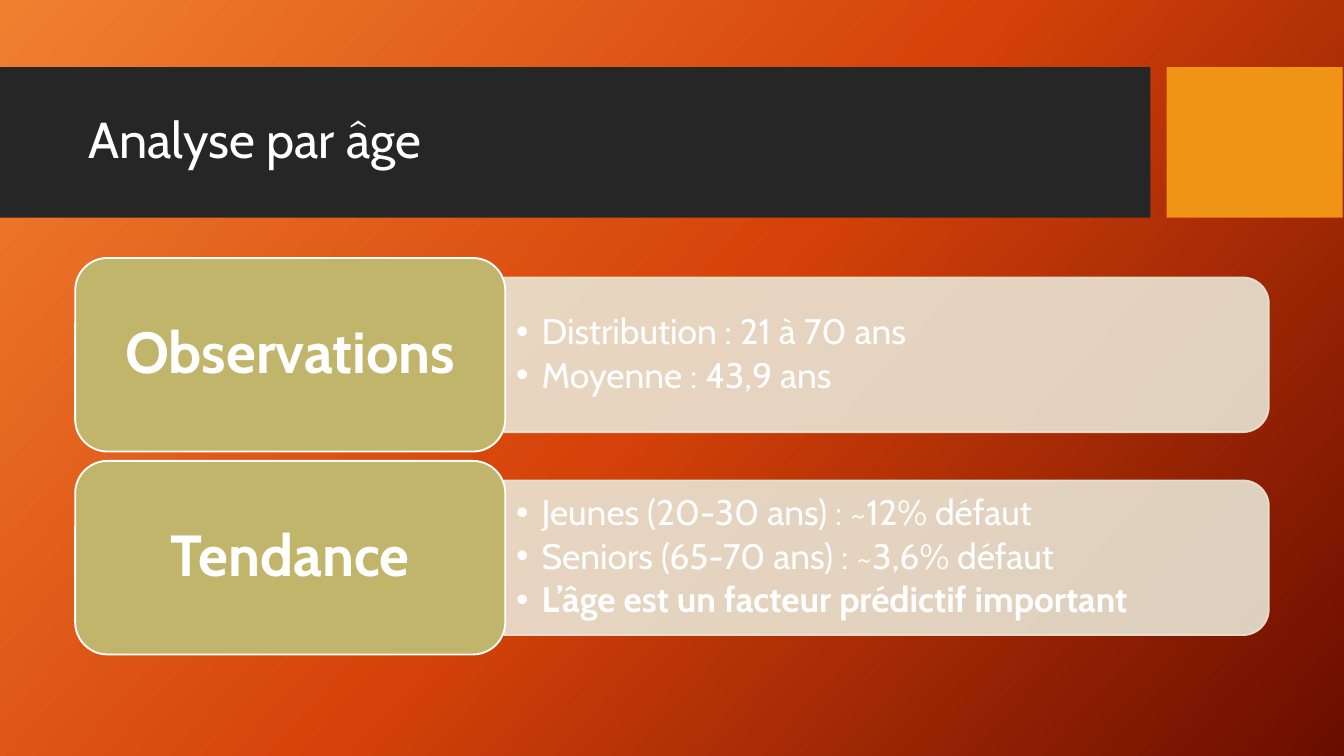
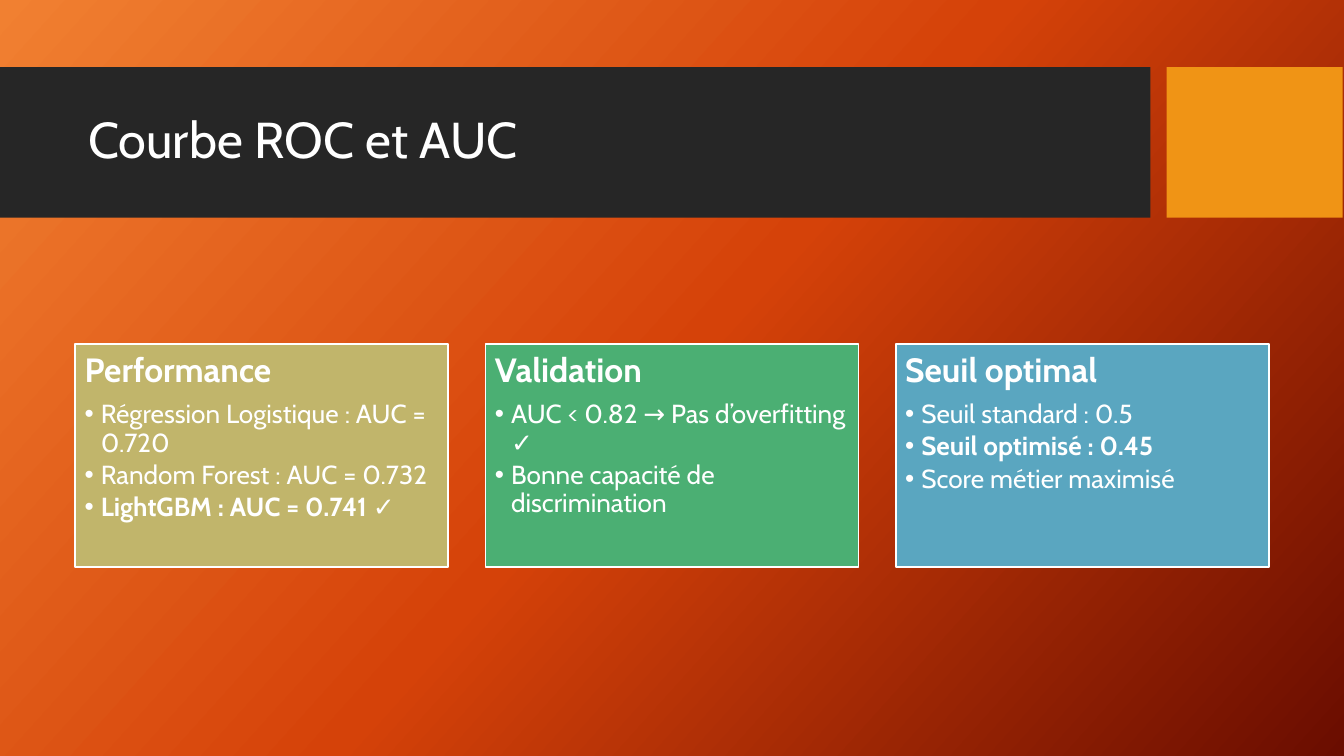
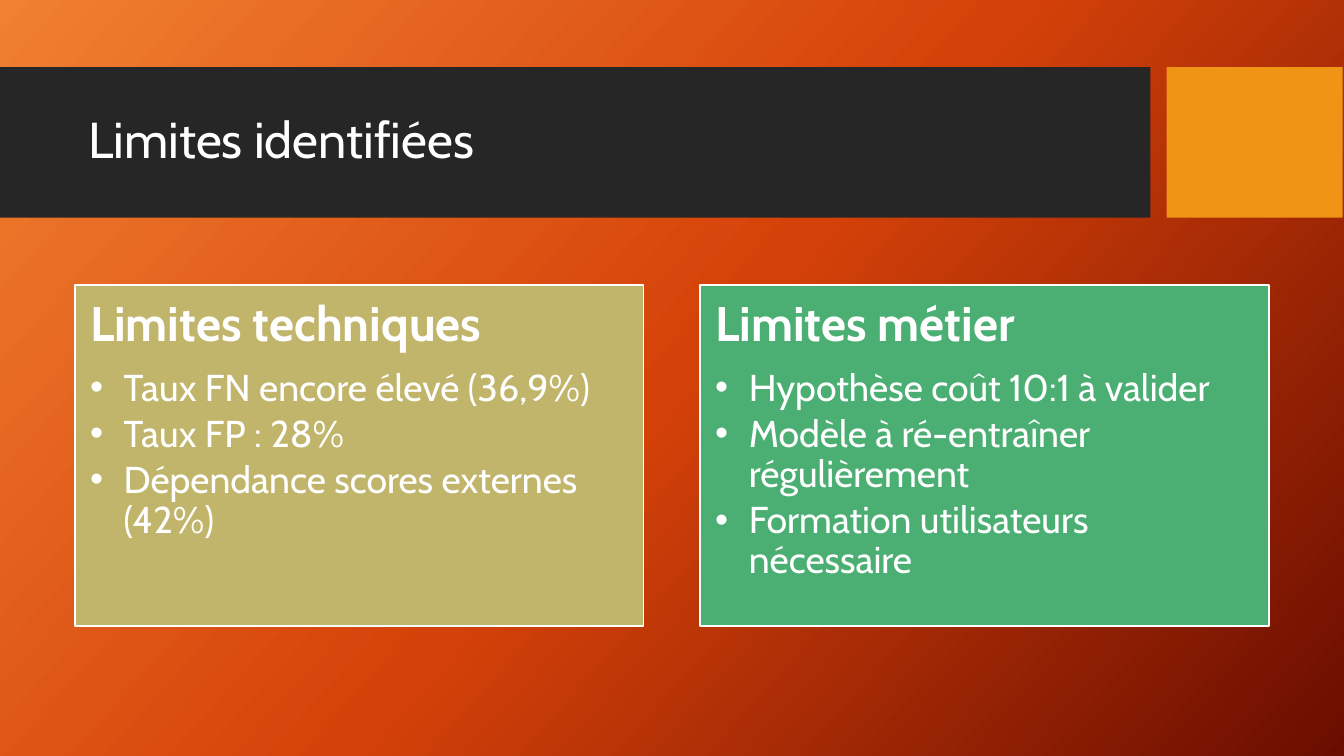
import copy
from dataclasses import dataclass

import pptx
import pptx.dml.color
import pptx.enum.shapes
import pptx.enum.text
import pptx.oxml.ns
import pptx.util
from lxml import etree

Inches = pptx.util.Inches
Pt = pptx.util.Pt
MSO_SHAPE = pptx.enum.shapes.MSO_SHAPE
MSO_ANCHOR = pptx.enum.text.MSO_ANCHOR
PP_ALIGN = pptx.enum.text.PP_ALIGN
qn = pptx.oxml.ns.qn


@dataclass(frozen=True)
class Theme:
    font: str = "Cabin"
    text: str = "FFFFFF"
    band: str = "262626"
    accent: str = "F09415"
    panel: str = "E9E5D4"
    cards: tuple = ("C1B56B", "4BAF73", "5AA6C0")
    gradient: tuple = ((0, "F18031"), (0.5, "D54209"), (1, "6A0D00"))
    gradient_angle: int = 42
    title_size: int = 27
    label_size: int = 31
    panel_size: int = 19


@dataclass(frozen=True)
class Bullet:
    """A list item: an optional bold part, then a plain part."""
    plain: str = ""
    strong: str = ""


@dataclass(frozen=True)
class CardStyle:
    heading_size: int
    bullet_size: int
    inset: float
    indent: float


THEME = Theme()
BODY_LEFT, BODY_WIDTH = 0.56, 8.88
CARD_CENTRE = 3.39


def rgb(code):
    return pptx.dml.color.RGBColor.from_string(code)


def paint_background(page):
    fill = page.background.fill
    fill.gradient()
    fill.gradient_angle = 360 - THEME.gradient_angle
    stop_list = next(page.element.iter(qn("a:gsLst")))
    stop_list.insert(1, copy.deepcopy(stop_list[0]))
    for stop, (position, code) in zip(fill.gradient_stops, THEME.gradient):
        stop.position = position
        stop.color.rgb = rgb(code)


def add_block(page, kind, left, top, width, height, color, line=None):
    block = page.shapes.add_shape(
        kind, Inches(left), Inches(top), Inches(width), Inches(height))
    block.shadow.inherit = False
    block.fill.solid()
    block.fill.fore_color.rgb = rgb(color)
    if line:
        block.line.color.rgb = rgb(line)
        block.line.width = Pt(1)
    else:
        block.line.fill.background()
    return block


def add_text_box(page, left, top, width, height):
    return page.shapes.add_textbox(
        Inches(left), Inches(top), Inches(width), Inches(height))


def prepare_frame(box, anchor, inset_x=0.1, inset_y=0.05):
    frame = box.text_frame
    frame.word_wrap = True
    frame.vertical_anchor = anchor
    frame.margin_left = frame.margin_right = Inches(inset_x)
    frame.margin_top = frame.margin_bottom = Inches(inset_y)
    return frame


def style_paragraph(para, size, align=PP_ALIGN.LEFT, after=0, indent=0):
    """Set type and spacing; after is in percent, an indent adds a bullet."""
    para.alignment = align
    para.line_spacing = 0.9
    properties = para._p.get_or_add_pPr()
    if after:
        spacing = etree.SubElement(properties, qn("a:spcAft"))
        etree.SubElement(spacing, qn("a:spcPct"), val=str(after * 1000))
    if indent:
        para.level = 1
        properties.set("marL", str(Inches(indent)))
        properties.set("indent", str(-Inches(indent)))
        etree.SubElement(properties, qn("a:buFont"), typeface="Arial")
        etree.SubElement(properties, qn("a:buChar"), char="•")
    para.font.name = THEME.font
    para.font.size = Pt(size)
    para.font.color.rgb = rgb(THEME.text)


def write_heading(para, text, size, align=PP_ALIGN.LEFT):
    para.text = text
    style_paragraph(para, size, align, after=35)
    para.font.bold = True


def write_bullet(para, bullet, size, indent):
    style_paragraph(para, size, after=15, indent=indent)
    for text, bold in ((bullet.strong, True), (bullet.plain, False)):
        if text:
            span = para.add_run()
            span.text = text
            span.font.bold = bold


def add_page(deck, title):
    """Add a page with the gradient, the title band and its title."""
    page = deck.slides.add_slide(deck.slide_layouts[6])
    paint_background(page)
    add_block(page, MSO_SHAPE.RECTANGLE, 0, 0.5, 8.56, 1.12, THEME.band)
    add_block(page, MSO_SHAPE.RECTANGLE, 8.68, 0.5, 1.31, 1.12, THEME.accent)
    box = add_text_box(page, BODY_LEFT, 0.62, 7.89, 0.88)
    para = prepare_frame(box, MSO_ANCHOR.MIDDLE).paragraphs[0]
    para.text = title
    style_paragraph(para, THEME.title_size)
    return page


def add_labelled_row(page, top, label, bullets):
    """Add a rounded label with a translucent panel of bullets on its right."""
    label_width, label_height = 3.2, 1.44
    panel_width, panel_height = 5.69, 1.15
    panel_left = BODY_LEFT + label_width
    panel_right = BODY_LEFT + BODY_WIDTH
    middle = top + label_height / 2

    panel = add_block(
        page, MSO_SHAPE.ROUND_2_SAME_RECTANGLE,
        panel_right - (panel_width + panel_height) / 2,
        middle - panel_width / 2,
        panel_height, panel_width, THEME.panel, THEME.panel)
    panel.rotation = 90
    for color in panel.element.spPr.iter(qn("a:srgbClr")):
        etree.SubElement(color, qn("a:alpha"), val="90000")

    box = add_text_box(page, panel_left, middle - 0.52, 5.63, 1.04)
    frame = prepare_frame(box, MSO_ANCHOR.MIDDLE, 0.08, 0.04)
    for index, bullet in enumerate(bullets):
        para = frame.add_paragraph() if index else frame.paragraphs[0]
        write_bullet(para, bullet, THEME.panel_size, 0.19)

    tile = add_block(page, MSO_SHAPE.ROUNDED_RECTANGLE, BODY_LEFT, top,
                     label_width, label_height, THEME.cards[0], THEME.text)
    frame = prepare_frame(tile, MSO_ANCHOR.MIDDLE, 0.13, 0.06)
    write_heading(frame.paragraphs[0], label, THEME.label_size, PP_ALIGN.CENTER)


def add_cards(page, cards, style):
    """Fill the body width with cards whose gaps are a tenth of their width."""
    width = BODY_WIDTH / (len(cards) + 0.1 * (len(cards) - 1))
    height = 0.6 * width
    for index, (heading, bullets) in enumerate(cards):
        card = add_block(
            page, MSO_SHAPE.RECTANGLE, BODY_LEFT + index * 1.1 * width,
            CARD_CENTRE - height / 2, width, height,
            THEME.cards[index], THEME.text)
        frame = prepare_frame(card, MSO_ANCHOR.TOP, style.inset, style.inset)
        write_heading(frame.paragraphs[0], heading, style.heading_size)
        for bullet in bullets:
            write_bullet(frame.add_paragraph(), bullet,
                         style.bullet_size, style.indent)


def add_age_page(deck):
    page = add_page(deck, "Analyse par âge")
    add_labelled_row(page, 1.92, "Observations", [
        Bullet("Distribution : 21 à 70 ans"),
        Bullet("Moyenne : 43,9 ans"),
    ])
    add_labelled_row(page, 3.43, "Tendance", [
        Bullet("Jeunes (20-30 ans) : ~12% défaut"),
        Bullet("Seniors (65-70 ans) : ~3,6% défaut"),
        Bullet(strong="L’âge est un facteur prédictif important"),
    ])


def add_roc_page(deck):
    page = add_page(deck, "Courbe ROC et AUC")
    add_cards(page, [
        ("Performance", [
            Bullet("Régression Logistique : AUC = 0.720"),
            Bullet("Random Forest : AUC = 0.732"),
            Bullet(strong="LightGBM : AUC = 0.741", plain=" ✓"),
        ]),
        ("Validation", [
            Bullet("AUC < 0.82 → Pas d’overfitting ✓"),
            Bullet("Bonne capacité de discrimination"),
        ]),
        ("Seuil optimal", [
            Bullet("Seuil standard : 0.5"),
            Bullet(strong="Seuil optimisé : 0.45"),
            Bullet("Score métier maximisé"),
        ]),
    ], CardStyle(heading_size=18, bullet_size=14, inset=0.07, indent=0.12))


def add_limits_page(deck):
    page = add_page(deck, "Limites identifiées")
    add_cards(page, [
        ("Limites techniques", [
            Bullet("Taux FN encore élevé (36,9%)"),
            Bullet("Taux FP : 28%"),
            Bullet("Dépendance scores externes (42%)"),
        ]),
        ("Limites métier", [
            Bullet("Hypothèse coût 10:1 à valider"),
            Bullet("Modèle à ré-entraîner régulièrement"),
            Bullet("Formation utilisateurs nécessaire"),
        ]),
    ], CardStyle(heading_size=26, bullet_size=20, inset=0.11, indent=0.25))


def main():
    deck = pptx.Presentation()
    deck.slide_width = Inches(10)
    deck.slide_height = deck.slide_width * 9 // 16
    add_age_page(deck)
    add_roc_page(deck)
    add_limits_page(deck)
    deck.save("out.pptx")


if __name__ == "__main__":
    main()
